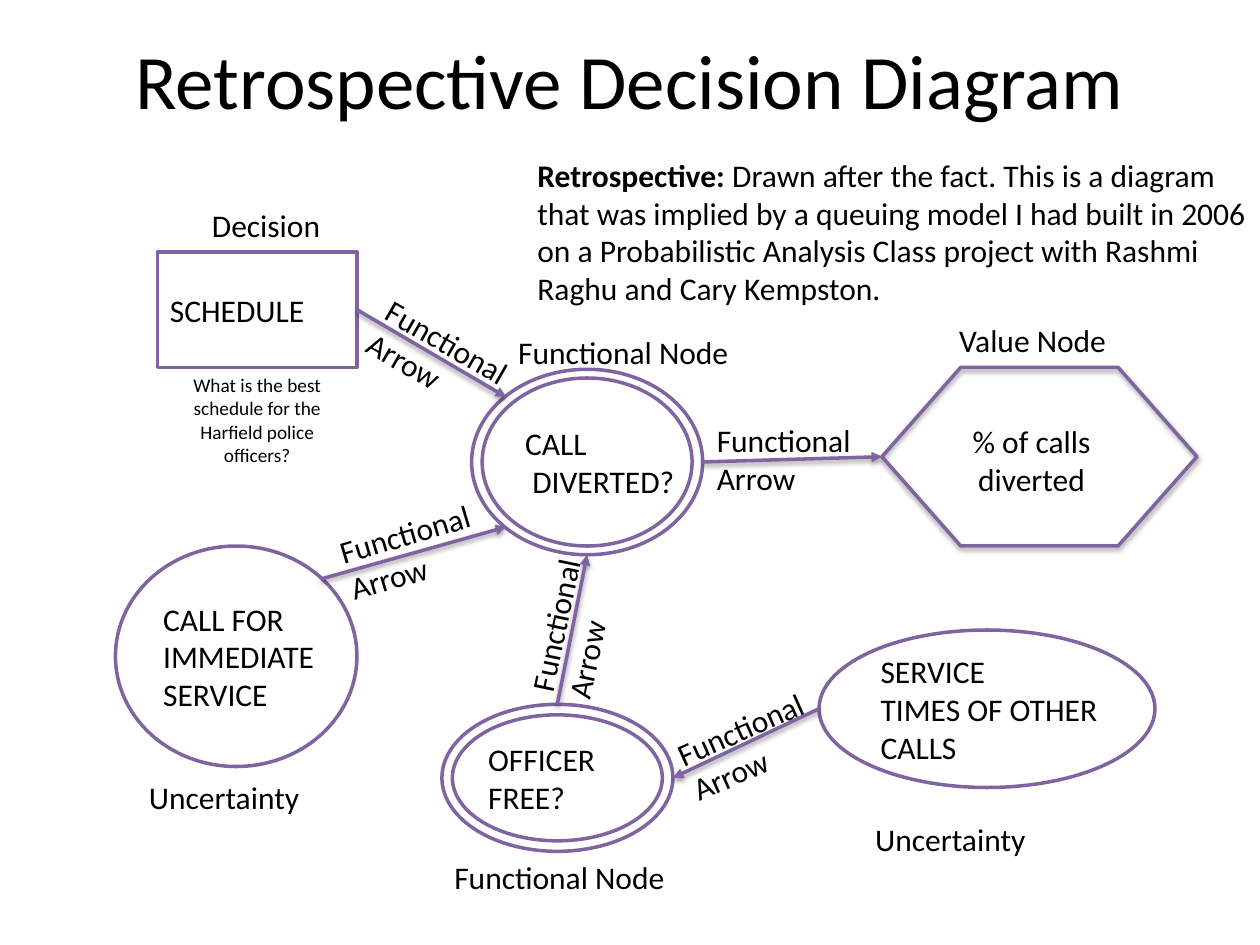
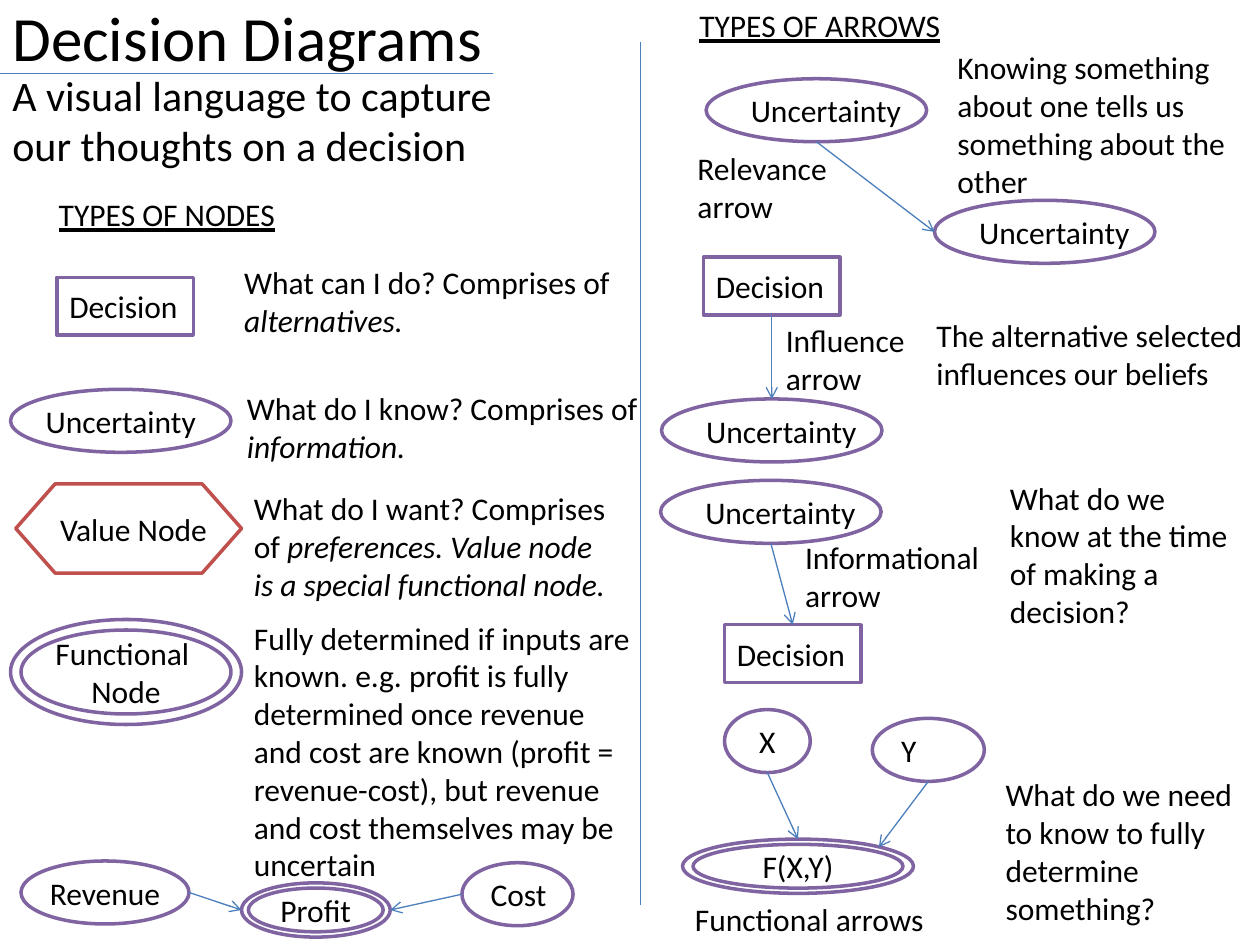
from dataclasses import dataclass
from lxml import etree
from pptx import Presentation, util as u
from pptx.dml.color import RGBColor
from pptx.enum import shapes, text as t
from pptx.oxml import ns


@dataclass(frozen=True)
class Theme:
    font: str = "Calibri"
    ink: str = "000000"
    paper: str = "FFFFFF"
    node: str = "8064A2"
    value: str = "C0504D"
    thin: str = "4B7EBC"
    title: int = 44
    side_title: int = 36
    lead: int = 24
    body: int = 18
    note: int = 11
    node_line: float = 2
    thin_line: float = 0.75


THEME = Theme()
KINDS = {"box": shapes.MSO_SHAPE.RECTANGLE, "oval": shapes.MSO_SHAPE.OVAL,
         "hexagon": shapes.MSO_SHAPE.HEXAGON}
OVAL = (126, 36)
BOX = (78, 33)
RING = 132      # width of a functional node
LABEL = 137.5   # width of a node or arrow label

# Where a link meets a node, as shares of its width and height
NEAR, FAR = 0.15, 0.85
SITES = {"top": (0.5, 0), "bottom": (0.5, 1), "left": (0, 0.5), "right": (1, 0.5),
         "top left": (NEAR, NEAR), "top right": (FAR, NEAR), "bottom left": (NEAR, FAR)}

# Nodes: name -> kind, (left, top, width, height), text, options
# gap: space to the inner ring of a functional node
RETRO_NODES = {
    "officer": ("oval", (252.5, 402.5, RING, 84), "OFFICER\nFREE?",
                dict(gap=(6, 6), text_on="outer")),
    "diverted": ("oval", (269.5, 211, RING, 106), "CALL\n DIVERTED?", dict(gap=(6, 5))),
    "schedule": ("box", (90, 144, 114, 66), "SCHEDULE", {}),
    "immediate": ("oval", (66, 312, 138, 126), "CALL FOR \nIMMEDIATE \nSERVICE", {}),
    "times": ("oval", (468, 360, 192, 90), "SERVICE\nTIMES OF OTHER \nCALLS", {}),
    "value": ("hexagon", (504, 210, 180, 102), "", dict(fill=None, shadow=True)),
}
RETRO_LINKS = [
    ("immediate", "top right", "diverted", "bottom left"),
    ("diverted", "right", "value", "left"),
    ("schedule", "right", "diverted", "top left"),
    ("times", "left", "officer", "right"),
    ("officer", "top", "diverted", "bottom"),
]
# Texts: (left, top, width, height), text, format
RETRO_TEXTS = [
    ((537, 237.5, 105, 51), "% of calls diverted", dict(align="center")),
    ((114, 114, 126, 30), "Decision", {}),
    ((78, 441, 126, 30), "Uncertainty", {}),
    ((493, 465, 126, 30), "Uncertainty", {}),
    ((252.5, 487, LABEL, 29), "Functional Node", {}),
    ((289, 187, LABEL, 29), "Functional Node", {}),
    ((541, 180, LABEL, 29), "Value Node", {}),
    ((201.5, 191, LABEL, 51), "Functional\nArrow", dict(turn=30)),
    ((188, 283.5, LABEL, 51), "Functional Arrow", dict(turn=-16.5)),
    ((264, 311, LABEL, 51), "Functional Arrow", dict(turn=-78.1)),
    ((380, 391.5, LABEL, 51), "Functional Arrow", dict(turn=-24)),
    ((402.5, 237, 101.5, 51), "Functional Arrow", {}),
    ((36, 0, 648, 90), "Retrospective Decision Diagram",
     dict(size=THEME.title, align="center", anchor="middle", grow=False)),
    ((300, 85.5, 420, 94.5),
     (("Retrospective:", "bold"),
      (" Drawn after the fact. This is a diagram that was implied by a queuing model "
       "I had built in 2006 on a Probabilistic Analysis Class project with Rashmi "
       "Raghu and Cary Kempston.", "")), {}),
    ((90, 210, 114, 60.5), "What is the best schedule for the Harfield police officers?",
     dict(size=THEME.note, align="center")),
]

CENTER = dict(align="center")
GUIDE_NODES = {
    "decision": ("box", (32.5, 158.5, *BOX), "Decision", {}),
    "uncertainty": ("oval", (6, 222.5, *OVAL), "Uncertainty", CENTER),
    "functional": ("oval", (6, 354, RING, 60), "Functional \nNode", dict(gap=(6, 6), **CENTER)),
    "value": ("hexagon", (9, 276.5, 129, 51), "Value Node", dict(line=THEME.value)),
    "profit": ("oval", (138, 504.5, 85, 31), "Profit", dict(gap=(4, 3), **CENTER)),
    "revenue": ("oval", (12, 492, 96, 36), "Revenue", CENTER),
    "cost": ("oval", (264, 493, 63.5, 36), "Cost", {}),
    "choice": ("box", (402, 147, *BOX), "Decision", {}),
    "belief": ("oval", (378, 228, *OVAL), "Uncertainty", {}),
    "known": ("oval", (377.5, 274.5, *OVAL), "Uncertainty", {}),
    "informed": ("box", (414, 357, *BOX), "Decision", {}),
    "result": ("oval", (390, 479.5, RING, 31), "F(X,Y)", dict(gap=(6, 3), **CENTER)),
    "x": ("oval", (414, 405.5, 49, 36), "X", CENTER),
    "y": ("oval", (498.5, 410.5, 64, 36), "Y", {}),
    "one": ("oval", (403.5, 45, *OVAL), "Uncertainty", {}),
    "other": ("oval", (534, 114.5, *OVAL), "Uncertainty", {}),
}
GUIDE_LINKS = [
    ("revenue", "right", "profit", "left"),
    ("cost", "left", "profit", "right"),
    ("choice", "bottom", "belief", "top"),
    ("known", "bottom", "informed", "top"),
    ("x", "bottom", "result", "top"),
    ("y", "bottom", "result", "top right"),
    ("one", "bottom", "other", "left"),
]
GUIDE_RULES = [((366, 24), (366, 517)), ((282, 42), (0, 42))]
GUIDE_TEXTS = [
    ((0, -24, 720, 90), "Decision Diagrams",
     dict(size=THEME.side_title, anchor="middle", grow=False)),
    ((0, 36, 324, 65.5), "A visual language to capture our thoughts on a decision",
     dict(size=THEME.lead)),
    ((132.5, 147, 258, 51),
     (("What can I do? Comprises of ", ""), ("alternatives.", "italic")), {}),
    ((134, 219, 238, 51),
     (("What do I know? Comprises of ", ""), ("information.", "italic")), {}),
    ((138, 276, 219, 73), (("What do I want? Comprises of ", ""),
     ("preferences. Value node is a special functional node.", "italic")), {}),
    ((138, 350, 234, 160),
     "Fully determined if inputs are known. e.g. profit is fully determined once revenue "
     "and cost are known (profit = revenue-cost), but revenue and cost themselves may be "
     "uncertain", {}),
    ((442, 180, 102, 51), "Influence arrow", {}),
    ((453, 304, 127, 51), "Informational arrow", {}),
    ((390, 511, 193, 29), "Functional arrows", {}),
    ((391.5, 81.5, 102, 51), "Relevance arrow", {}),
    ((540, 24, 192, 94.5), "Knowing something about one tells us something about the other", {}),
    ((528, 177, 192, 51), "The alternative selected influences our beliefs", {}),
    ((570, 270, 146, 94.5), "What do we know at the time of making a decision?", {}),
    ((567.5, 439.5, 146, 94.5), "What do we need to know to fully determine something?", {}),
    ((26.5, 108, 225, 29), (("TYPES OF NODES", "underline"),), {}),
    ((392.5, 0, 225, 29), (("TYPES OF ARROWS", "underline"),), {}),
]


def points(values):
    return [u.Pt(value) for value in values]


def color(code):
    return RGBColor.from_string(code)


def write(frame, content, size=THEME.body, align="left", anchor="top", wrap=True, grow=False):
    """Plain text breaks into paragraphs; (text, style) pairs share one paragraph."""
    frame.word_wrap = wrap
    frame.vertical_anchor = getattr(t.MSO_ANCHOR, anchor.upper())
    if grow:
        frame.auto_size = t.MSO_AUTO_SIZE.SHAPE_TO_FIT_TEXT
    if isinstance(content, str):
        lines = [[(line, "")] for line in content.split("\n")]
    else:
        lines = [content]
    for number, line in enumerate(lines):
        para = frame.add_paragraph() if number else frame.paragraphs[0]
        para.alignment = getattr(t.PP_ALIGN, align.upper())
        for words, style in line:
            span = para.add_run()
            span.text = words
            span.font.name, span.font.size = THEME.font, u.Pt(size)
            span.font.color.rgb = color(THEME.ink)
            if style:
                setattr(span.font, style, True)


def set_shadow(item, shown):
    """Replace the theme shadow by a soft one below, or by none."""
    properties = item._element.spPr
    for old in properties.findall(ns.qn("a:effectLst")):
        properties.remove(old)
    effects = etree.SubElement(properties, ns.qn("a:effectLst"))
    if shown:
        shadow = etree.SubElement(effects, ns.qn("a:outerShdw"), blurRad=str(u.Pt(3.1)),
                                  dist=str(u.Pt(1.6)), dir="5400000", rotWithShape="0")
        tint = etree.SubElement(shadow, ns.qn("a:srgbClr"), val=THEME.ink)
        etree.SubElement(tint, ns.qn("a:alpha"), val="38000")


def add_outline(parent, kind, place, fill=THEME.paper, line=THEME.node, shadow=False):
    shape = parent.add_shape(KINDS[kind], *points(place))
    if kind == "hexagon":
        shape.adjustments[0] = 0.441
    if fill:
        shape.fill.solid()
        shape.fill.fore_color.rgb = color(fill)
    else:
        shape.fill.background()
    shape.line.color.rgb, shape.line.width = color(line), u.Pt(THEME.node_line)
    set_shadow(shape, shadow)
    return shape


def add_node(page, kind, place, content, gap=None, text_on="inner", align="left", **look):
    parent = page.shapes.add_group_shape().shapes if gap else page.shapes
    holder = add_outline(parent, kind, place, **look)
    if gap:
        left, top, width, height = place
        across, down = gap
        inner = add_outline(parent, kind, (left + across, top + down, width - 2 * across,
                                           height - 2 * down), fill=None)
        holder = inner if text_on == "inner" else holder
    if content:
        write(holder.text_frame, content, align=align, anchor="middle", wrap=False)


def add_line(page, start, end, line=THEME.thin, width=THEME.thin_line, head=None, shadow=False):
    connector = page.shapes.add_connector(shapes.MSO_CONNECTOR.STRAIGHT, *points((*start, *end)))
    connector.line.color.rgb, connector.line.width = color(line), u.Pt(width)
    if head:
        etree.SubElement(connector.line._get_or_add_ln(), ns.qn("a:tailEnd"), type=head)
    set_shadow(connector, shadow)


def add_text(page, place, content, turn=0, grow=True, **style):
    box = page.shapes.add_textbox(*points(place))
    box.rotation = turn
    write(box.text_frame, content, grow=grow, **style)


def site_point(node, site):
    left, top, width, height = node[1]
    across, down = SITES[site]
    return left + across * width, top + down * height


def add_page(deck, nodes, links, rules, texts, **link_look):
    page = deck.slides.add_slide(deck.slide_layouts[6])
    for kind, place, content, options in nodes.values():
        add_node(page, kind, place, content, **options)
    for source, leave, target, arrive in links:
        add_line(page, site_point(nodes[source], leave), site_point(nodes[target], arrive),
                 **link_look)
    for start, end in rules:
        add_line(page, start, end)
    for place, content, style in texts:
        add_text(page, place, content, **style)


deck = Presentation()
deck.slide_width, deck.slide_height = points((720, 540))
add_page(deck, RETRO_NODES, RETRO_LINKS, [], RETRO_TEXTS,
         line=THEME.node, width=THEME.node_line, head="triangle", shadow=True)
add_page(deck, GUIDE_NODES, GUIDE_LINKS, GUIDE_RULES, GUIDE_TEXTS, head="arrow")
deck.save("out.pptx")
